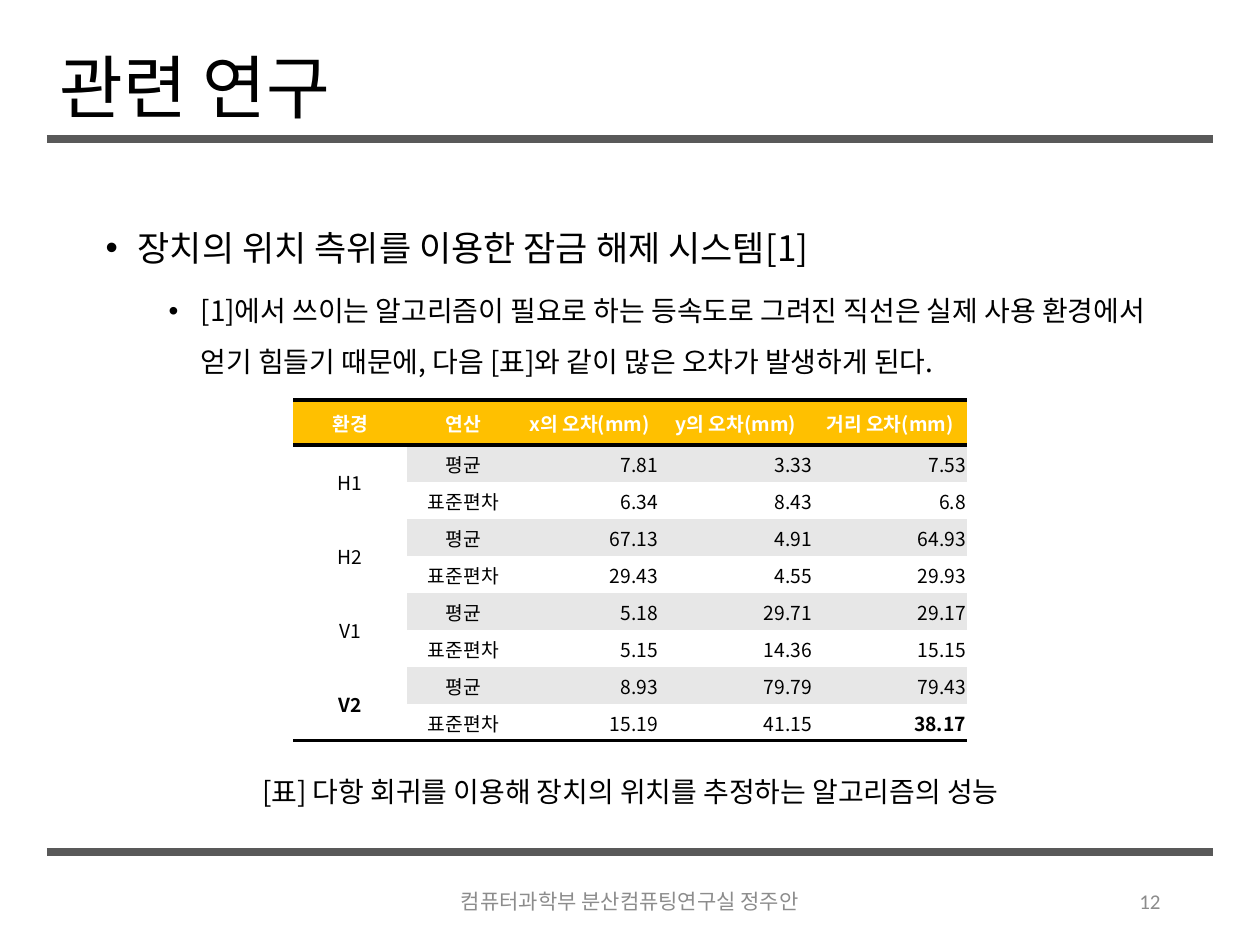
from lxml import etree
from pptx import Presentation
from pptx.dml.color import RGBColor
from pptx.enum.shapes import MSO_CONNECTOR
from pptx.enum.text import MSO_ANCHOR, MSO_AUTO_SIZE, PP_ALIGN
from pptx.oxml.ns import qn
from pptx.util import Pt

EMU_PER_PX = 914400 / 126
LEFT, CENTER, RIGHT = PP_ALIGN.LEFT, PP_ALIGN.CENTER, PP_ALIGN.RIGHT
MIDDLE, TOP = MSO_ANCHOR.MIDDLE, MSO_ANCHOR.TOP
BLACK = RGBColor(0x00, 0x00, 0x00)
WHITE = RGBColor(0xFF, 0xFF, 0xFF)
RULE_GRAY = RGBColor(0x59, 0x59, 0x59)
FOOTER_GRAY = RGBColor(0x8C, 0x8C, 0x8C)
BAND_GRAY = RGBColor(0xE7, 0xE7, 0xE7)
AMBER = RGBColor(0xFF, 0xC0, 0x00)
KOREAN_FONT = "Noto Sans CJK KR"
FOOTER_FONT = "Calibri"
PLAIN_TABLE_STYLE = "{2D5ABB26-0587-4C30-8999-92F81FD0307C}"

BULLETS = [
    (0, 20, 0, 32, "장치의 위치 측위를 이용한 잠금 해제 시스템[1]"),
    (1, 16, 5, 95, "[1]에서 쓰이는 알고리즘이 필요로 하는 등속도로 그려진 직선은 실제 사용 "
                   "환경에서 얻기 힘들기 때문에, 다음 [표]와 같이 많은 오차가 발생하게 된다."),
]
HEADERS = ["환경", "연산", "x의 오차(mm)", "y의 오차(mm)", "거리 오차(mm)"]
ERRORS = [
    ("H1", "평균", "7.81", "3.33", "7.53"),
    ("", "표준편차", "6.34", "8.43", "6.8"),
    ("H2", "평균", "67.13", "4.91", "64.93"),
    ("", "표준편차", "29.43", "4.55", "29.93"),
    ("V1", "평균", "5.18", "29.71", "29.17"),
    ("", "표준편차", "5.15", "14.36", "15.15"),
    ("V2", "평균", "8.93", "79.79", "79.43"),
    ("", "표준편차", "15.19", "41.15", "38.17"),
]
BOLD_CELLS = {"V2", "38.17"}
COLUMN_WIDTHS = [114, 113, 139, 154, 154]
ROW_HEIGHTS = [45] + [37] * len(ERRORS)


def px(length):
    return round(length * EMU_PER_PX)


class SlideBuilder:
    def __init__(self, slide):
        self.slide = slide

    def place(self, shape, left, top, width, height):
        shape.left, shape.top = px(left), px(top)
        shape.width, shape.height = px(width), px(height)

    def run(self, paragraph, text, size, color=BLACK, font=KOREAN_FONT, bold=False):
        run = paragraph.add_run()
        run.text = text
        run.font.size = Pt(size)
        run.font.bold = bold
        run.font.color.rgb = color
        run.font.name = font
        run.font._element.find(qn("a:latin")).addnext(
            etree.Element(qn("a:ea"), typeface=font))

    def title(self, text, *box):
        shape = self.slide.shapes.title
        self.place(shape, *box)
        frame = shape.text_frame
        frame.auto_size = MSO_AUTO_SIZE.NONE
        frame.vertical_anchor = MIDDLE
        paragraph = frame.paragraphs[0]
        paragraph.alignment = LEFT
        paragraph.line_spacing = 0.9
        self.run(paragraph, text, 39.6)

    def bullet_list(self, items, *box):
        shape = self.slide.placeholders[1]
        self.place(shape, *box)
        frame = shape.text_frame
        frame.auto_size = MSO_AUTO_SIZE.SHAPE_TO_FIT_TEXT
        for index, (level, size, space, margin, text) in enumerate(items):
            paragraph = frame.add_paragraph() if index else frame.paragraphs[0]
            paragraph.level = level
            properties = paragraph._p.get_or_add_pPr()
            properties.set("marL", str(px(margin)))
            properties.set("indent", str(px(-32)))
            etree.SubElement(properties, qn("a:buFont"), typeface="Arial")
            etree.SubElement(properties, qn("a:buChar"), char="•")
            paragraph.line_spacing = 1.5
            paragraph.space_before = Pt(space)
            self.run(paragraph, text, size)

    def text(self, text, *box, size=12, color=FOOTER_GRAY, font=FOOTER_FONT,
             alignment=CENTER, anchor=MIDDLE, line_spacing=1.0):
        frame = self.slide.shapes.add_textbox(*map(px, box)).text_frame
        frame.word_wrap = True
        frame.vertical_anchor = anchor
        paragraph = frame.paragraphs[0]
        paragraph.alignment = alignment
        paragraph.line_spacing = line_spacing
        self.run(paragraph, text, size, color, font)

    def rule(self, left, right, y):
        line = self.slide.shapes.add_connector(
            MSO_CONNECTOR.STRAIGHT, px(left), px(y), px(right), px(y))
        line.line.color.rgb = RULE_GRAY
        line.line.width = Pt(4.5)
        etree.SubElement(line._element.spPr, qn("a:effectLst"))

    def border(self, cell, side):
        """Draw a black 2 pt edge; call before the cell gets its fill."""
        line = etree.SubElement(cell._tc.get_or_add_tcPr(), qn(f"a:{side}"), w=str(Pt(2)))
        fill = etree.SubElement(line, qn("a:solidFill"))
        etree.SubElement(fill, qn("a:srgbClr"), val=str(BLACK))

    def cell(self, cell, text, fill, sides=(), color=BLACK, bold=False, alignment=CENTER):
        cell.margin_left = cell.margin_right = cell.margin_top = px(1)
        cell.margin_bottom = 0
        cell.vertical_anchor = MIDDLE
        for side in sides:
            self.border(cell, side)
        cell.fill.solid()
        cell.fill.fore_color.rgb = fill
        paragraph = cell.text_frame.paragraphs[0]
        paragraph.alignment = alignment
        if text:
            self.run(paragraph, text, 11, color, bold=bold)

    def error_table(self, left, top):
        table = self.slide.shapes.add_table(
            len(ROW_HEIGHTS), len(COLUMN_WIDTHS), px(left), px(top),
            px(sum(COLUMN_WIDTHS)), px(sum(ROW_HEIGHTS))).table
        table.horz_banding = False
        table._tbl.tblPr.find(qn("a:tableStyleId")).text = PLAIN_TABLE_STYLE
        for column, width in zip(table.columns, COLUMN_WIDTHS):
            column.width = px(width)
        for row, height in zip(table.rows, ROW_HEIGHTS):
            row.height = px(height)
        for column, header in enumerate(HEADERS):
            self.cell(table.cell(0, column), header, AMBER, ("lnT", "lnB"), WHITE, True)
        last = len(ERRORS)
        for row, values in enumerate(ERRORS, 1):
            for column, value in enumerate(values):
                closes_table = row == last or (column == 0 and row == last - 1)
                self.cell(table.cell(row, column), value,
                          BAND_GRAY if column and row % 2 else WHITE,
                          ("lnB",) if closes_table else (),
                          bold=value in BOLD_CELLS,
                          alignment=RIGHT if column > 1 else CENTER)
        for row in range(1, last, 2):
            table.cell(row, 0).merge(table.cell(row + 1, 0))


def main():
    presentation = Presentation()
    presentation.slide_width, presentation.slide_height = px(1260), px(945)
    layout = presentation.slide_layouts[1]
    builder = SlideBuilder(presentation.slides.add_slide(layout))
    for y in (139, 852):
        builder.rule(47, 1213, y)
    builder.title("관련 연구", 47, 54, 1166, 74)
    builder.bullet_list(BULLETS, 93, 199, 1075, 242)
    builder.text("컴퓨터과학부 분산컴퓨팅연구실 정주안", 417, 876, 426, 50)
    builder.text("12", 890, 876, 283, 50, alignment=RIGHT)
    builder.error_table(293, 400)
    builder.text("[표] 다항 회귀를 이용해 장치의 위치를 추정하는 알고리즘의 성능",
                 93, 752, 1075, 59, size=16, color=BLACK, font=KOREAN_FONT,
                 anchor=TOP, line_spacing=1.5)
    presentation.save("out.pptx")


if __name__ == "__main__":
    main()
